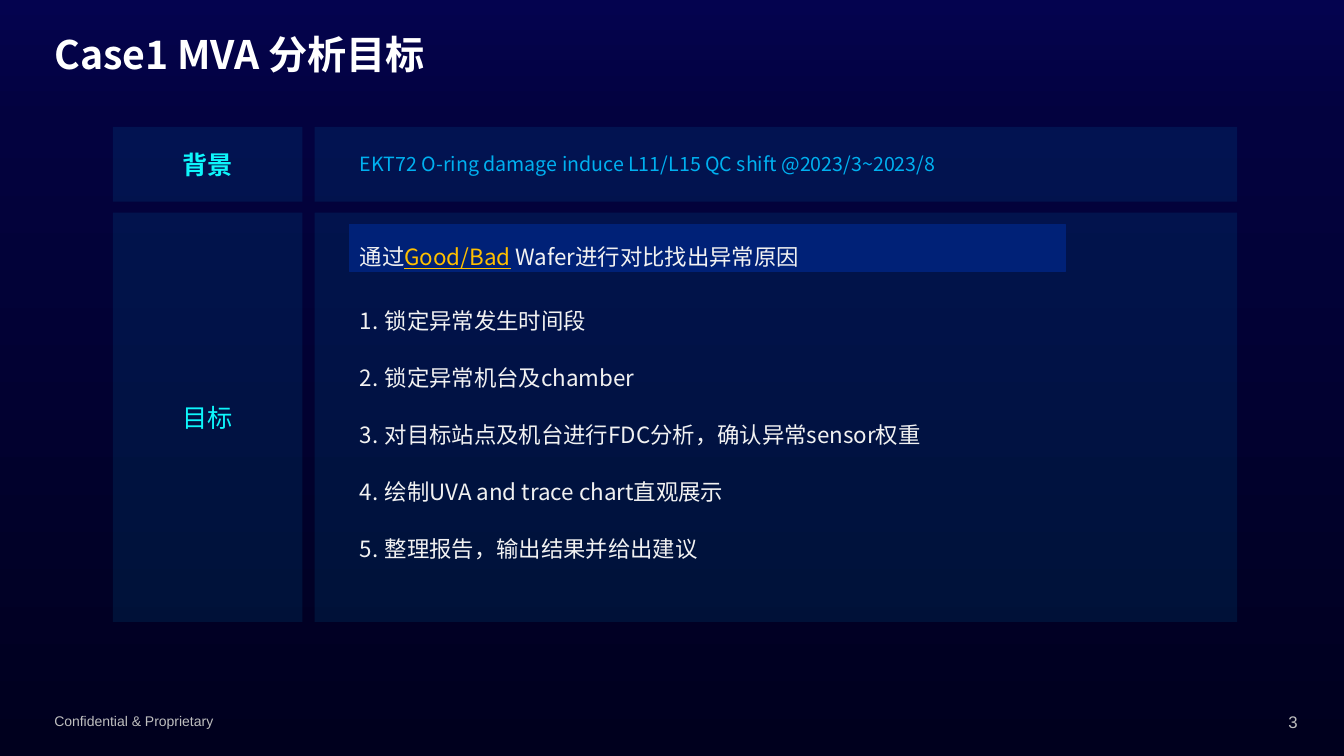
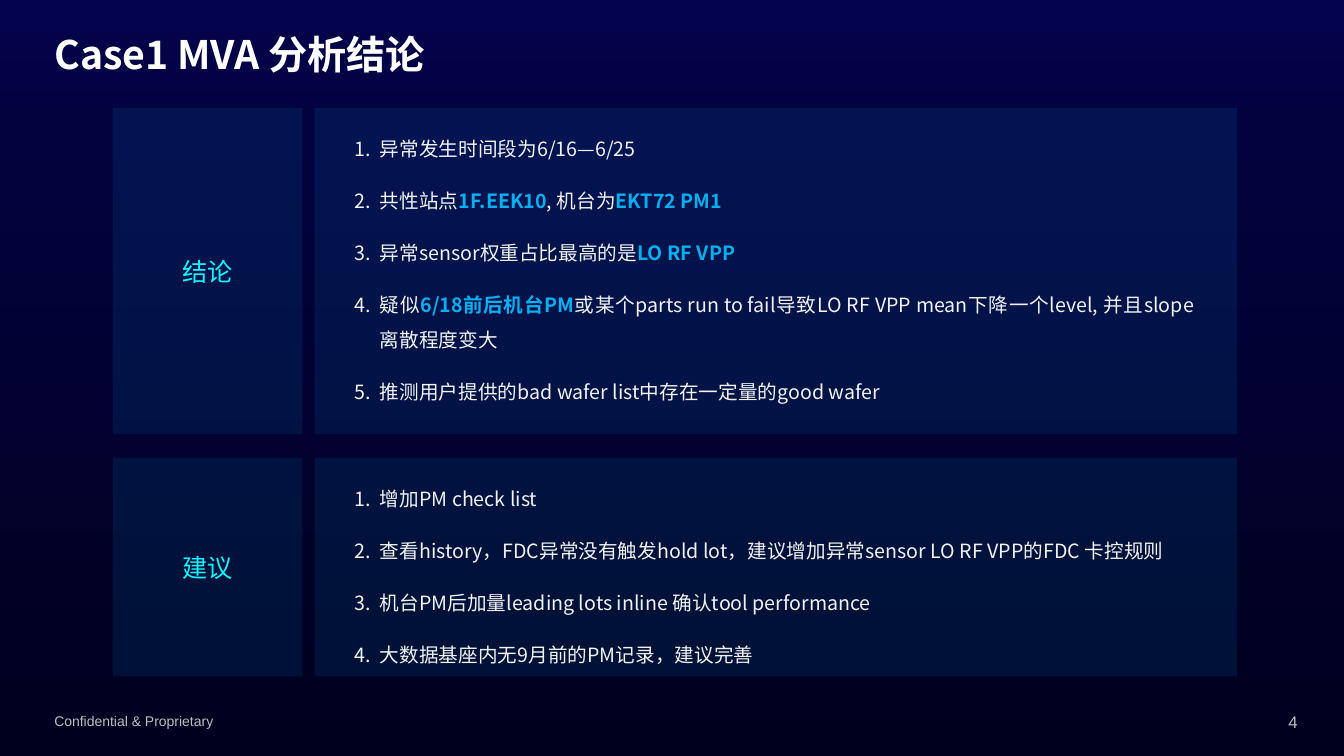
from copy import deepcopy
from dataclasses import dataclass

from lxml.etree import SubElement
from pptx import Presentation
from pptx.dml.color import RGBColor
from pptx.enum.shapes import MSO_SHAPE as Preset
from pptx.enum.text import MSO_ANCHOR as Anchor, MSO_AUTO_SIZE as AutoSize, PP_ALIGN as Align
from pptx.oxml import parse_xml
from pptx.oxml.ns import nsdecls, qn
from pptx.util import Inches, Pt


@dataclass(frozen=True)
class Theme:
    font: str = "Noto Sans CJK SC"
    footer_font: str = "Arial"
    background: tuple = ((0, "04034F"), (0.16, "03023F"), (1, "00001E"))
    white: str = "FFFFFF"
    body: str = "F2F2F2"
    accent: str = "00B0F0"
    label: str = "0EF6FB"
    warning: str = "FFC000"
    highlight: str = "002177"
    footer: str = "BFBFBF"
    panel_alpha: int = 10
    title_size: int = 28
    label_size: int = 18
    goal_size: int = 16
    text_size: int = 14
    number_size: int = 12
    footer_size: int = 10


THEME = Theme()
LABEL_LEFT, LABEL_WIDTH = 1.12, 1.88
PANEL_LEFT, PANEL_WIDTH = 3.12, 9.15


@dataclass(frozen=True)
class Span:
    text: str
    color: str = THEME.body
    bold: bool = False
    underline: bool = False


def key(text):
    return Span(text, THEME.accent, bold=True)


def box(left, top, width, height):
    return [Inches(value) for value in (left, top, width, height)]


def format_run(run, span, size, font=THEME.font):
    run.font.size = Pt(size)
    run.font.bold = span.bold
    run.font.underline = span.underline
    run.font.color.rgb = RGBColor.from_string(span.color)
    run.font.name = font
    SubElement(run.font._element, qn("a:ea"), typeface=font)


def fill_paragraph(paragraph, spans, size, align=Align.LEFT, font=THEME.font):
    paragraph.alignment = align
    for span in spans:
        run = paragraph.add_run()
        run.text = span.text
        format_run(run, span, size, font)


def space_body(paragraph):
    paragraph.line_spacing = 1.5
    paragraph.space_after = Pt(12)


def number_paragraph(paragraph):
    properties = paragraph._p.get_or_add_pPr()
    properties.set("marL", str(Inches(0.25)))
    properties.set("indent", str(-Inches(0.25)))
    SubElement(properties, qn("a:buFont"), typeface="+mj-lt")
    SubElement(properties, qn("a:buAutoNum"), type="arabicPeriod")


def add_text(slide, place, spans, size, align=Align.LEFT, font=THEME.font):
    frame = slide.shapes.add_textbox(*box(*place)).text_frame
    frame.word_wrap = True
    fill_paragraph(frame.paragraphs[0], spans, size, align, font)


def add_numbered_list(slide, place, items, size):
    frame = slide.shapes.add_textbox(*box(*place)).text_frame
    frame.word_wrap = True
    for index, spans in enumerate(items):
        paragraph = frame.add_paragraph() if index else frame.paragraphs[0]
        fill_paragraph(paragraph, spans, size, Align.JUSTIFY)
        space_body(paragraph)
        number_paragraph(paragraph)


def add_rectangle(slide, place, color):
    shape = slide.shapes.add_shape(Preset.RECTANGLE, *box(*place))
    shape.shadow.inherit = False
    shape.fill.solid()
    shape.fill.fore_color.rgb = RGBColor.from_string(color)
    shape.line.fill.background()
    return shape


def add_panel(slide, place):
    shape = add_rectangle(slide, place, THEME.accent)
    color = shape._element.spPr.find(".//" + qn("a:srgbClr"))
    SubElement(color, qn("a:alpha"), val=str(THEME.panel_alpha * 1000))
    return shape


def add_row(slide, label, top, height, bold=False):
    add_panel(slide, (PANEL_LEFT, top, PANEL_WIDTH, height))
    frame = add_panel(slide, (LABEL_LEFT, top, LABEL_WIDTH, height)).text_frame
    frame.vertical_anchor = Anchor.MIDDLE
    span = Span(label, THEME.label, bold)
    fill_paragraph(frame.paragraphs[0], [span], THEME.label_size, Align.CENTER)


def add_highlight(slide, place, spans):
    shape = add_rectangle(slide, place, THEME.highlight)
    shape.line.color.rgb = RGBColor.from_string(THEME.highlight)
    shape.line.width = Pt(0.75)
    frame = shape.text_frame
    frame.vertical_anchor = Anchor.TOP
    fill_paragraph(frame.paragraphs[0], spans, THEME.goal_size, Align.JUSTIFY)
    space_body(frame.paragraphs[0])


def format_title(title, text):
    title.left, title.top, title.width, title.height = box(0.44, 0.3, 10.08, 0.53)
    frame = title.text_frame
    frame.text = text
    frame.auto_size = AutoSize.NONE
    frame.vertical_anchor = Anchor.MIDDLE
    paragraph = frame.paragraphs[0]
    paragraph.alignment = Align.LEFT
    paragraph.line_spacing = 0.9
    run = paragraph.runs[0]
    format_run(run, Span(text, THEME.white, bold=True), THEME.title_size)
    shadow = parse_xml(
        f'<a:effectLst {nsdecls("a")}><a:outerShdw blurRad="38100" dist="38100" dir="2700000">'
        '<a:srgbClr val="000000"><a:alpha val="43000"/></a:srgbClr></a:outerShdw></a:effectLst>'
    )
    run.font._element.find(qn("a:solidFill")).addnext(shadow)


def add_slide(presentation, title, number):
    slide = presentation.slides.add_slide(presentation.slide_layouts[5])
    format_title(slide.shapes.title, title)
    add_text(slide, (0.44, 7.02, 4.5, 0.27), [Span("Confidential & Proprietary", THEME.footer)],
             THEME.footer_size, font=THEME.footer_font)
    add_text(slide, (12.47, 7.01, 0.5, 0.3), [Span(str(number), THEME.footer)],
             THEME.number_size, Align.RIGHT, THEME.footer_font)
    return slide


def set_background(master):
    fill = master.background.fill
    fill.gradient()
    fill.gradient_angle = 270
    stop_list = master.element.find(".//" + qn("p:bg")).find(".//" + qn("a:gsLst"))
    stop_list.append(deepcopy(stop_list[-1]))
    for stop, (position, color) in zip(fill.gradient_stops, THEME.background):
        stop.position = position
        stop.color.rgb = RGBColor.from_string(color)


def build_goals(presentation):
    slide = add_slide(presentation, "Case1 MVA 分析目标", 3)
    add_row(slide, "背景", 1.26, 0.74, bold=True)
    add_row(slide, "目标", 2.11, 4.06)
    background = "EKT72 O-ring damage induce L11/L15 QC shift @2023/3~2023/8"
    add_text(slide, (3.47, 1.46, 6.59, 0.34), [Span(background, THEME.accent)], THEME.text_size)
    add_highlight(slide, (3.47, 2.23, 7.1, 0.46), [
        Span("通过"),
        Span("Good/Bad", THEME.warning, underline=True),
        Span(" Wafer进行对比找出异常原因"),
    ])
    add_numbered_list(slide, (3.47, 2.86, 7.1, 2.75), [
        [Span("锁定异常发生时间段")],
        [Span("锁定异常机台及chamber")],
        [Span("对目标站点及机台进行FDC分析，确认异常sensor权重")],
        [Span("绘制UVA and trace chart直观展示")],
        [Span("整理报告，输出结果并给出建议")],
    ], THEME.goal_size)


def build_conclusions(presentation):
    slide = add_slide(presentation, "Case1 MVA 分析结论", 4)
    add_row(slide, "结论", 1.07, 3.24)
    add_row(slide, "建议", 4.54, 2.17)
    add_numbered_list(slide, (3.42, 1.19, 8.52, 2.89), [
        [Span("异常发生时间段为6/16—6/25")],
        [Span("共性站点"), key("1F.EEK10"), Span(", 机台为"), key("EKT72 PM1")],
        [Span("异常sensor权重占比最高的是"), key("LO RF VPP")],
        [Span("疑似"), key("6/18前后机台PM"),
         Span("或某个parts run to fail导致LO RF VPP mean下降一个level, 并且slope离散程度变大")],
        [Span("推测用户提供的bad wafer list中存在一定量的good wafer")],
    ], THEME.text_size)
    add_numbered_list(slide, (3.42, 4.66, 8.74, 2.02), [
        [Span("增加PM check list")],
        [Span("查看history，FDC异常没有触发hold lot，建议增加异常sensor LO RF VPP的FDC 卡控规则")],
        [Span("机台PM后加量leading lots inline 确认tool performance")],
        [Span("大数据基座内无9月前的PM记录，建议完善")],
    ], THEME.text_size)


def main():
    presentation = Presentation()
    presentation.slide_width = Inches(13.33)
    presentation.slide_height = Inches(7.5)
    set_background(presentation.slide_master)
    build_goals(presentation)
    build_conclusions(presentation)
    presentation.save("out.pptx")


if __name__ == "__main__":
    main()
